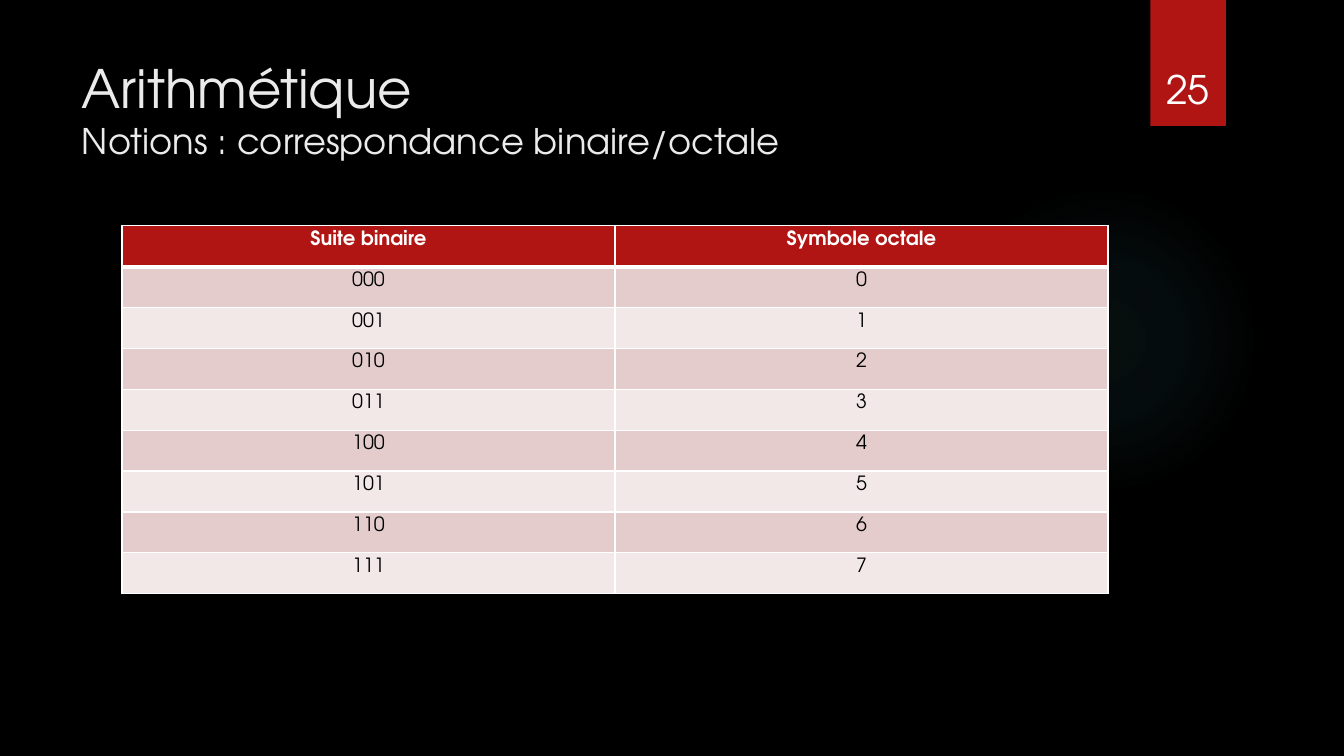
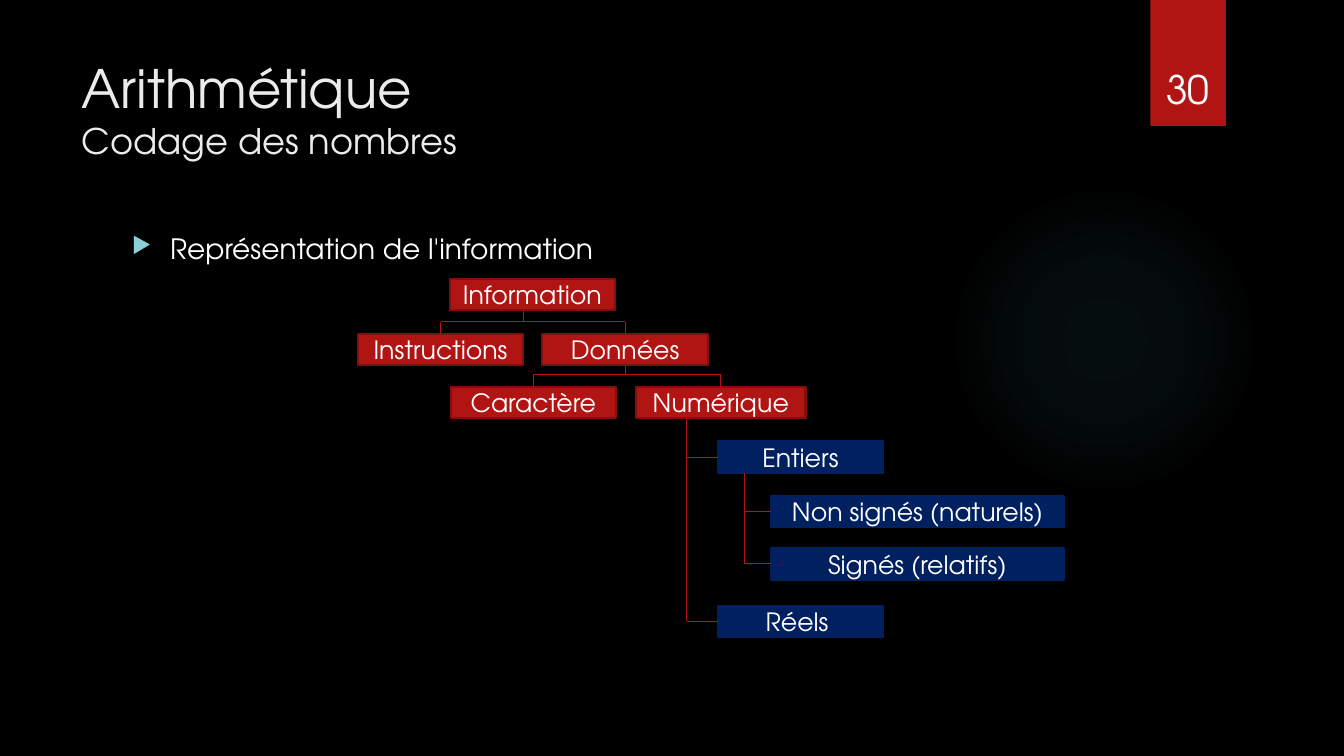
from lxml import etree
from pptx import Presentation
from pptx.dml.color import RGBColor
from pptx.enum.shapes import MSO_CONNECTOR, MSO_SHAPE
from pptx.enum.text import MSO_ANCHOR, PP_ALIGN
from pptx.oxml import parse_xml
from pptx.oxml.ns import nsdecls, qn
from pptx.util import Inches, Pt

FONT = "TeX Gyre Adventor"
BLACK = "000000"
WHITE = "FFFFFF"
TITLE_GREY = "EBEBEB"
RED = "B01513"
DARK_RED = "82100E"
NAVY = "002060"
GLOW = "50B9C1"
BULLET = "8AD0D6"
BANDS = ("F2E8E7", "E4CCCC")
TOP, LEFT, BOTTOM = 0, 1, 2


def paint(target, color):
    target.solid()
    target.fore_color.rgb = RGBColor.from_string(color)


def add_span(para, text, size, color=WHITE, bold=False):
    span = para.add_run()
    span.text = text
    span.font.name = FONT
    span.font.size = Pt(size)
    span.font.bold = bold
    paint(span.font.fill, color)


def add_panel(page, preset, left, top, width, height, fill, line=None):
    panel = page.shapes.add_shape(
        preset, Inches(left), Inches(top), Inches(width), Inches(height))
    panel.shadow.inherit = False
    paint(panel.fill, fill)
    if line:
        paint(panel.line.fill, line)
        panel.line.width = Pt(1.5)
    else:
        panel.line.fill.background()
    return panel


def add_text_box(page, left, top, width, height):
    box = page.shapes.add_textbox(
        Inches(left), Inches(top), Inches(width), Inches(height))
    box.text_frame.word_wrap = True
    return box.text_frame


def add_glow(page):
    glow = add_panel(page, MSO_SHAPE.OVAL, 9.41, 1.83, 3.08, 3.08, GLOW)
    stops = "".join(
        f'<a:gs pos="{place * 1000}"><a:srgbClr val="{GLOW}">'
        f'<a:alpha val="{opacity * 1000}"/></a:srgbClr></a:gs>'
        for place, opacity in ((0, 7), (36, 6), (69, 0)))
    gradient = parse_xml(
        f'<a:gradFill {nsdecls("a")}><a:gsLst>{stops}</a:gsLst>'
        '<a:path path="circle"><a:fillToRect l="50000" t="50000" '
        'r="50000" b="50000"/></a:path></a:gradFill>')
    properties = glow.element.spPr
    properties.replace(properties.find(qn("a:solidFill")), gradient)


def add_page(deck, subtitle, number):
    page = deck.slides.add_slide(deck.slide_layouts[5])
    add_glow(page)
    add_panel(page, MSO_SHAPE.RECTANGLE, 11.41, 0, 0.75, 1.25, RED)

    title = page.shapes.title
    title.left, title.top = Inches(0.71), Inches(0.5)
    title.width, title.height = Inches(10.29), Inches(1.53)
    title.text_frame.vertical_anchor = MSO_ANCHOR.TOP
    para = title.text_frame.paragraphs[0]
    para.alignment = PP_ALIGN.LEFT
    add_span(para, "Arithmétique", 37.8, TITLE_GREY)
    para.add_line_break()
    add_span(para, subtitle, 25.2, TITLE_GREY)

    frame = add_text_box(page, 11.32, 0.32, 0.92, 0.84)
    frame.vertical_anchor = MSO_ANCHOR.BOTTOM
    para = frame.paragraphs[0]
    para.alignment = PP_ALIGN.CENTER
    add_span(para, str(number), 28)
    return page


def add_borders(cell, top, bottom):
    properties = cell._tc.get_or_add_tcPr()
    sides = (("lnL", 1), ("lnR", 1), ("lnT", top), ("lnB", bottom))
    for position, (side, width) in enumerate(sides):
        properties.insert(position, parse_xml(
            f'<a:{side} {nsdecls("a")} w="{Pt(width)}"><a:solidFill>'
            f'<a:srgbClr val="{WHITE}"/></a:solidFill></a:{side}>'))


def add_code_table(page, rows):
    table = page.shapes.add_table(
        len(rows), len(rows[0]), Inches(1.21), Inches(2.24),
        Inches(9.78), Inches(3.65)).table
    for index, texts in enumerate(rows):
        header = index == 0
        for column, text in enumerate(texts):
            cell = table.cell(index, column)
            cell.margin_top = Inches(0.05)
            paint(cell.fill, RED if header else BANDS[index % 2])
            add_borders(cell, 3 if index == 1 else 1, 3 if header else 1)
            para = cell.text_frame.paragraphs[0]
            para.alignment = PP_ALIGN.CENTER
            add_span(para, text, 14, WHITE if header else BLACK, header)


def add_bullet(page, text):
    para = add_text_box(page, 1.21, 2.25, 9.78, 4.59).paragraphs[0]
    properties = para._p.get_or_add_pPr()
    properties.set("marL", str(Inches(0.38)))
    properties.set("indent", str(-Inches(0.38)))
    color = etree.SubElement(properties, qn("a:buClr"))
    etree.SubElement(color, qn("a:srgbClr"), val=BULLET)
    etree.SubElement(properties, qn("a:buSzPct"), val="80000")
    etree.SubElement(properties, qn("a:buChar"), char="▶")
    add_span(para, text, 20)


def add_node(page, text, left, top, width=1.64, fill=RED, line=DARK_RED):
    node = add_panel(
        page, MSO_SHAPE.RECTANGLE, left, top, width, 0.31, fill, line)
    frame = node.text_frame
    frame.word_wrap = True
    frame.margin_top = frame.margin_bottom = 0
    frame.vertical_anchor = MSO_ANCHOR.MIDDLE
    para = frame.paragraphs[0]
    para.alignment = PP_ALIGN.CENTER
    add_span(para, text, 18)
    return node


def add_type_node(page, text, left, top, width=1.64):
    return add_node(page, text, left, top, width, NAVY, NAVY)


def center_x(node):
    return node.left + node.width // 2


def center_y(node):
    return node.top + node.height // 2


def add_link(page, start, end, node=None, side=None):
    link = page.shapes.add_connector(MSO_CONNECTOR.STRAIGHT, *start, *end)
    if node is not None:
        link.end_connect(node, side)
    paint(link.line.fill, RED)
    link.line.width = Pt(0.75)
    etree.SubElement(link.element.spPr, qn("a:effectLst"))


def add_fork(page, bar, children):
    add_link(page, (center_x(children[0]), bar), (center_x(children[-1]), bar))
    for child in children:
        x = center_x(child)
        add_link(page, (x, bar), (x, child.top), child, TOP)


def add_trunk(page, x, parent, children):
    add_link(page, (x, parent.top + parent.height), (x, center_y(children[-1])))
    for child in children:
        y = center_y(child)
        add_link(page, (x, y), (child.left, y), child, LEFT)


def add_information_tree(page):
    information = add_node(page, "Information", 4.46, 2.77)
    instructions = add_node(page, "Instructions", 3.55, 3.31)
    data = add_node(page, "Données", 5.38, 3.31)
    character = add_node(page, "Caractère", 4.47, 3.84)
    numeric = add_node(page, "Numérique", 6.31, 3.84, 1.68)
    integers = add_type_node(page, "Entiers", 7.12, 4.38)
    unsigned = add_type_node(page, "Non signés (naturels)", 7.65, 4.92, 2.9)
    signed = add_type_node(page, "Signés (relatifs)", 7.65, 5.44, 2.9)
    reals = add_type_node(page, "Réels ", 7.12, 6.01)

    upper_bar, lower_bar = Inches(3.19), Inches(3.72)
    stem = Inches(5.19)
    add_link(page, (stem, upper_bar),
             (stem, information.top + information.height))
    add_fork(page, upper_bar, [instructions, data])
    add_link(page, (center_x(data), lower_bar),
             (center_x(data), data.top + data.height), data, BOTTOM)
    add_fork(page, lower_bar, [character, numeric])
    add_trunk(page, Inches(6.81), numeric, [integers, reals])
    add_trunk(page, Inches(7.38), integers, [unsigned, signed])


def main():
    deck = Presentation()
    deck.slide_width, deck.slide_height = Inches(13.33), Inches(7.5)
    paint(deck.slide_master.background.fill, BLACK)

    page = add_page(deck, "Notions : correspondance binaire/octale", 25)
    codes = [(f"{value:03b}", str(value)) for value in range(8)]
    add_code_table(page, [("Suite binaire", "Symbole octale"), *codes])

    page = add_page(deck, "Codage des nombres", 30)
    add_bullet(page, "Représentation de l'information")
    add_information_tree(page)

    deck.save("out.pptx")


if __name__ == "__main__":
    main()
